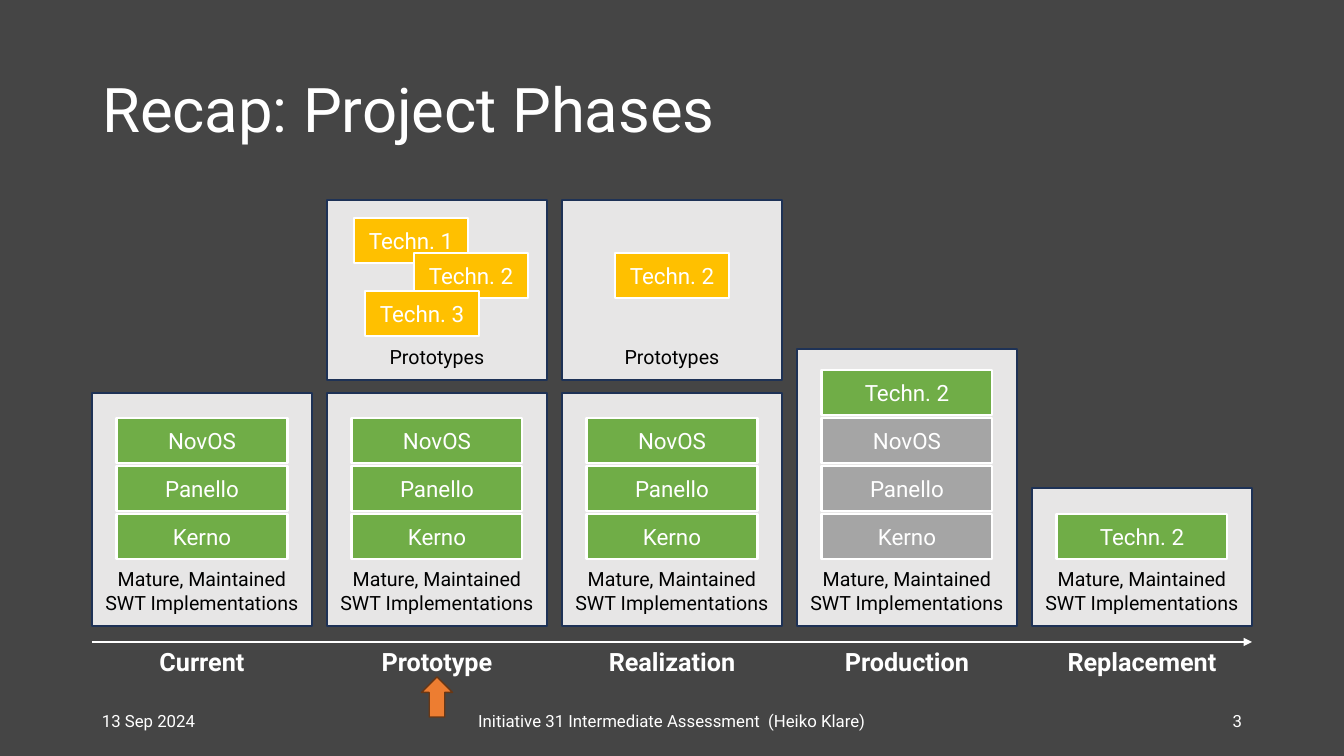
from lxml import etree
from pptx import Presentation
from pptx.dml.color import RGBColor
from pptx.enum.shapes import MSO_CONNECTOR, MSO_SHAPE
from pptx.enum.text import MSO_ANCHOR, MSO_AUTO_SIZE, PP_ALIGN
from pptx.oxml.ns import qn
from pptx.util import Pt

LEFT, CENTER, RIGHT = PP_ALIGN.LEFT, PP_ALIGN.CENTER, PP_ALIGN.RIGHT
TOP, MIDDLE, BOTTOM = MSO_ANCHOR.TOP, MSO_ANCHOR.MIDDLE, MSO_ANCHOR.BOTTOM
RECTANGLE, UP_ARROW = MSO_SHAPE.RECTANGLE, MSO_SHAPE.UP_ARROW

BACKGROUND = RGBColor(0x45, 0x45, 0x45)
WHITE = RGBColor(0xFF, 0xFF, 0xFF)
BLACK = RGBColor(0x00, 0x00, 0x00)
PANEL = RGBColor(0xE7, 0xE6, 0xE6)
PANEL_EDGE = RGBColor(0x1E, 0x32, 0x56)
GREEN = RGBColor(0x70, 0xAD, 0x47)
GRAY = RGBColor(0xA5, 0xA5, 0xA5)
YELLOW = RGBColor(0xFF, 0xC0, 0x00)
ORANGE = RGBColor(0xED, 0x7D, 0x31)
ORANGE_EDGE = RGBColor(0x68, 0x37, 0x15)
FONT = "Roboto"

TITLE = "Recap: Project Phases"
MATURE = "Mature, Maintained\nSWT Implementations"
PLATFORMS = ["Kerno", "Panello", "NovOS"]
ACTIVE = [(name, GREEN) for name in PLATFORMS]
RETIRED = [(name, GRAY) for name in PLATFORMS]
SUCCESSOR = [("Techn. 2", GREEN)]

# Phase, panel top, implementations from the bottom up, prototypes (name, dx, dy)
PHASES = [
    ("Current", 393, ACTIVE, []),
    ("Prototype", 393, ACTIVE,
     [("Techn. 1", 27, 18), ("Techn. 2", 87, 53), ("Techn. 3", 38, 91)]),
    ("Realization", 393, ACTIVE, [("Techn. 2", 53, 53)]),
    ("Production", 349, RETIRED + SUCCESSOR, []),
    ("Replacement", 488, SUCCESSOR, []),
]
CURRENT_PHASE = 1

# Text, left, width, alignment
FOOTER = [
    ("13 Sep 2024", 92, 302, LEFT),
    ("Initiative 31 Intermediate Assessment  (Heiko Klare)", 445, 454, CENTER),
    ("3", 950, 302, RIGHT),
]

PX = 914400 / 100.8
SLIDE_W, SLIDE_H = 1344, 756
PHASE_LEFT, PHASE_STEP = 92, 235
PANEL_W, PANEL_BOTTOM = 220, 626
PROTOTYPE_TOP, PROTOTYPE_H = 200, 180
CHIP_W, CHIP_H, CHIP_STEP, LOWEST_CHIP = 171, 45, 48, 514
PROTOTYPE_CHIP_W = 114
AXIS_Y, AXIS_RIGHT = 642, 1252
ARROW_W, ARROW_H, ARROW_TOP = 31, 40, 677


def px(*lengths):
    return [round(length * PX) for length in lengths]


def write(shape, text, size, color, align=CENTER, anchor=MIDDLE, bold=False):
    frame = shape.text_frame
    frame.word_wrap = True
    frame.vertical_anchor = anchor
    paragraph = frame.paragraphs[0]
    paragraph.text = text
    paragraph.alignment = align
    font = paragraph.font
    font.name, font.size, font.bold = FONT, Pt(size), bold
    font.color.rgb = color
    return frame


def add_label(slide, box, text, size, **style):
    write(slide.shapes.add_textbox(*px(*box)), text, size, WHITE, **style)


def add_block(slide, kind, box, fill, edge, edge_width):
    block = slide.shapes.add_shape(kind, *px(*box))
    block.shadow.inherit = False
    block.fill.solid()
    block.fill.fore_color.rgb = fill
    block.line.color.rgb = edge
    block.line.width = Pt(edge_width)
    return block


def add_panel(slide, box, caption):
    panel = add_block(slide, RECTANGLE, box, PANEL, PANEL_EDGE, 1)
    frame = write(panel, caption, 14, BLACK, anchor=BOTTOM)
    frame.margin_bottom = px(12)[0]


def add_chip(slide, left, top, width, name, fill):
    chip = add_block(slide, RECTANGLE, (left, top, width, CHIP_H), fill, WHITE, 1.5)
    write(chip, name, 16, WHITE)


def add_phase(slide, left, phase, panel_top, implementations, prototypes):
    add_panel(slide, (left, panel_top, PANEL_W, PANEL_BOTTOM - panel_top), MATURE)
    for level, (name, fill) in enumerate(implementations):
        add_chip(slide, left + (PANEL_W - CHIP_W) / 2,
                 LOWEST_CHIP - level * CHIP_STEP, CHIP_W, name, fill)
    if prototypes:
        add_panel(slide, (left, PROTOTYPE_TOP, PANEL_W, PROTOTYPE_H), "Prototypes")
    for name, dx, dy in prototypes:
        add_chip(slide, left + dx, PROTOTYPE_TOP + dy, PROTOTYPE_CHIP_W, name, YELLOW)
    add_label(slide, (left, 641, PANEL_W, 40), phase, 18, anchor=TOP, bold=True)


def add_time_axis(slide):
    axis = slide.shapes.add_connector(
        MSO_CONNECTOR.STRAIGHT, *px(PHASE_LEFT, AXIS_Y, AXIS_RIGHT, AXIS_Y))
    axis.line.color.rgb = WHITE
    axis.line.width = Pt(1.5)
    etree.SubElement(axis.line._get_or_add_ln(), qn("a:tailEnd"), type="triangle")
    etree.SubElement(axis._element.spPr, qn("a:effectLst"))


def main():
    deck = Presentation()
    deck.slide_width, deck.slide_height = px(SLIDE_W, SLIDE_H)
    slide = deck.slides.add_slide(deck.slide_layouts[5])
    slide.background.fill.solid()
    slide.background.fill.fore_color.rgb = BACKGROUND

    title = slide.shapes.title
    title.left, title.top, title.width, title.height = px(92, 40, 1160, 146)
    frame = write(title, TITLE, 44, WHITE, align=LEFT)
    frame.auto_size = MSO_AUTO_SIZE.NONE
    frame.paragraphs[0].line_spacing = 0.9

    for index, phase in enumerate(PHASES):
        add_phase(slide, PHASE_LEFT + index * PHASE_STEP, *phase)
    add_time_axis(slide)

    arrow_left = PHASE_LEFT + CURRENT_PHASE * PHASE_STEP + (PANEL_W - ARROW_W) / 2
    add_block(slide, UP_ARROW, (arrow_left, ARROW_TOP, ARROW_W, ARROW_H),
              ORANGE, ORANGE_EDGE, 1)

    for text, left, width, align in FOOTER:
        add_label(slide, (left, 701, width, 40), text, 12, align=align)

    deck.save("out.pptx")


if __name__ == "__main__":
    main()
